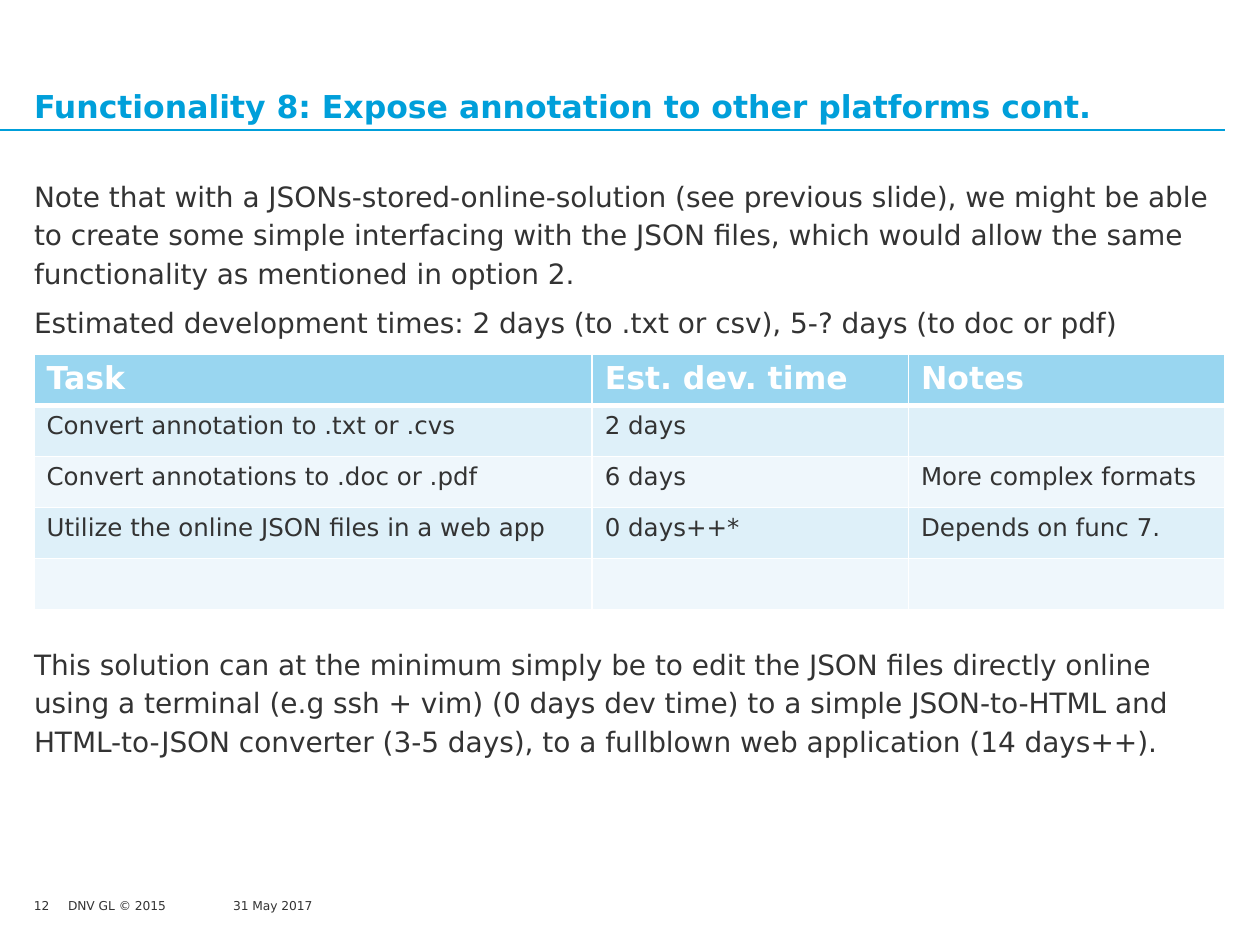
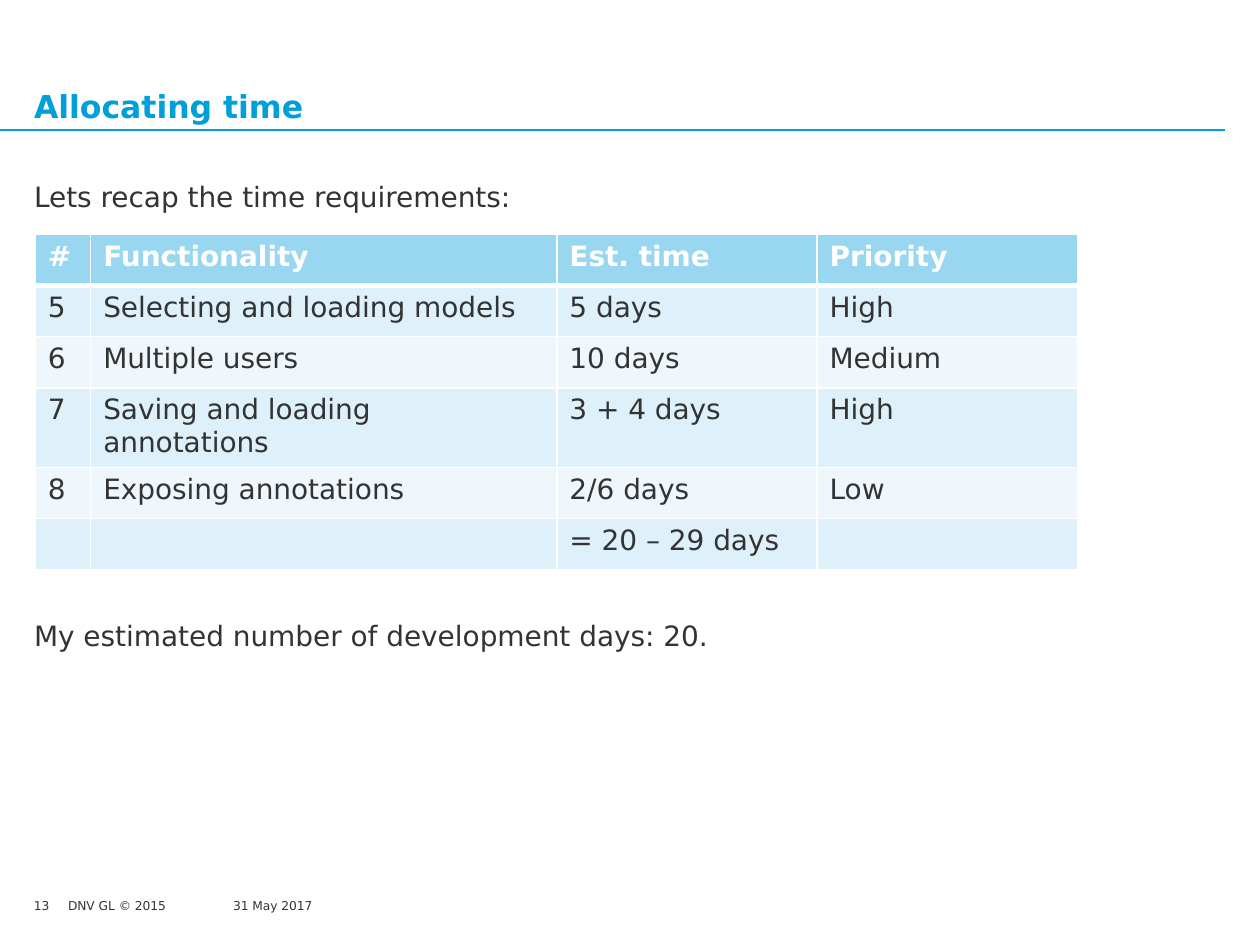
from dataclasses import dataclass
from typing import Any, NamedTuple

from lxml.etree import SubElement
from pptx import Presentation
from pptx.dml.color import RGBColor as Rgb
from pptx.enum.shapes import MSO_CONNECTOR as Connector
from pptx.enum.text import MSO_ANCHOR as Anchor, MSO_AUTO_SIZE as AutoSize
from pptx.oxml.ns import qn
from pptx.util import Inches, Pt

GRID_COLUMNS, GRID_ROWS = 100, 75
SLIDE_WIDTH, SLIDE_HEIGHT = Inches(10), Inches(7.5)


class TextStyle(NamedTuple):
    size: float
    color: str
    bold: bool = False


@dataclass(frozen=True)
class Theme:
    font: str = "DejaVu Sans"
    accent: str = "009FDA"
    ink: str = "333333"
    paper: str = "FFFFFF"
    header_fill: str = "99D6F0"
    bands: tuple[str, str] = ("DEF0F9", "EFF7FC")
    title_size: float = 18
    body_size: float = 16
    footer_size: float = 7
    line_spacing: float = 1.14
    paragraph_gap: float = 6
    rule_width: float = 1
    header_rule_width: float = 3


THEME = Theme()
TITLE = TextStyle(THEME.title_size, THEME.accent, True)
BODY = TextStyle(THEME.body_size, THEME.ink)
FOOTER = TextStyle(THEME.footer_size, THEME.ink)


class Area(NamedTuple):
    column: float
    row: float
    columns: float
    rows: float


LEFT, CONTENT_COLUMNS = 2.7, 94.5
FOOTER_ROW = 71.3
TITLE_AREA = Area(LEFT, 2.6, CONTENT_COLUMNS, 7.3)
BODY_AREA = Area(LEFT, 13.9, CONTENT_COLUMNS, 51.7)
NUMBER_AREA = Area(LEFT, FOOTER_ROW, 2.6, 2)
COPYRIGHT_AREA = Area(5.4, FOOTER_ROW, 8, 1.2)
DATE_AREA = Area(18.5, FOOTER_ROW, 30.7, 2)
TITLE_RULE_ROW = 10.3
TABLE_ROW_HEIGHT = 4.06


class Line(NamedTuple):
    text: str
    gap: float = THEME.paragraph_gap


@dataclass(frozen=True)
class Estimates:
    column: float
    row: float
    widths: tuple[float, ...]
    header_size: float
    cell_size: float
    rows: tuple[tuple[str, ...], ...]


@dataclass(frozen=True)
class Page:
    number: int
    title: str
    body: tuple[Line, ...]
    estimates: Estimates


PAGES = (
    Page(
        12,
        "Functionality 8: Expose annotation to other platforms cont.",
        (
            Line("Note that with a JSONs-stored-online-solution (see previous slide), "
                 "we might be able to create some simple interfacing with the JSON files, "
                 "which would allow the same functionality as mentioned in option 2."),
            Line("Estimated development times: 2 days (to .txt or csv), "
                 "5-? days (to doc or pdf)"),
            Line("This solution can at the minimum simply be to edit the JSON files "
                 "directly online using a terminal (e.g ssh + vim) (0 days dev time) "
                 "to a simple JSON-to-HTML and HTML-to-JSON converter (3-5 days), "
                 "to a fullblown web application (14 days++).", 174),
        ),
        Estimates(LEFT, 28.1, (44.3, 25.1, 25.1), 18, 14, (
            ("Task", "Est. dev. time", "Notes"),
            ("Convert annotation to .txt or .cvs", "2 days", ""),
            ("Convert annotations to .doc or .pdf", "6 days", "More complex formats"),
            ("Utilize the online JSON files in a web app", "0 days++*",
             "Depends on func 7."),
            ("", "", ""),
        )),
    ),
    Page(
        13,
        "Allocating time",
        (
            Line("Lets recap the time requirements:"),
            Line("My estimated number of development days: 20.", 229),
        ),
        Estimates(2.8, 18.6, (4.4, 37, 20.65, 20.65), 16, 16, (
            ("#", "Functionality", "Est. time", "Priority"),
            ("5", "Selecting and loading models", "5 days", "High"),
            ("6", "Multiple users", "10 days", "Medium"),
            ("7", "Saving and loading annotations", "3 + 4 days", "High"),
            ("8", "Exposing annotations", "2/6 days", "Low"),
            ("", "", "= 20 – 29 days", ""),
        )),
    ),
)


def across(columns: float) -> int:
    return round(SLIDE_WIDTH * columns / GRID_COLUMNS)


def down(rows: float) -> int:
    return round(SLIDE_HEIGHT * rows / GRID_ROWS)


def apply_formats(target: Any, formats: dict[str, Any]) -> None:
    for attribute, value in formats.items():
        setattr(target, attribute, value)


def write(paragraph: Any, text: str, style: TextStyle) -> None:
    run = paragraph.add_run()
    run.text = text
    apply_formats(run.font, {
        "name": THEME.font, "size": Pt(style.size), "bold": style.bold,
    })
    run.font.color.rgb = Rgb.from_string(style.color)


def add_text(slide: Any, area: Area, text: str, style: TextStyle, **formats: Any) -> None:
    add_lines(slide, area, (Line(text),), style, 1, **formats)


def add_lines(slide: Any, area: Area, lines: tuple[Line, ...], style: TextStyle,
              spacing: float, **formats: Any) -> None:
    box = slide.shapes.add_textbox(across(area.column), down(area.row),
                                   across(area.columns), down(area.rows))
    frame = box.text_frame
    margins = dict.fromkeys(
        ("margin_left", "margin_top", "margin_right", "margin_bottom"), 0)
    apply_formats(frame, {**margins, "word_wrap": True, **formats})
    for index, line in enumerate(lines):
        paragraph = frame.add_paragraph() if index else frame.paragraphs[0]
        paragraph.line_spacing = spacing
        if index:
            paragraph.space_before = Pt(line.gap)
        write(paragraph, line.text, style)


def add_title_rule(slide: Any) -> None:
    height = down(TITLE_RULE_ROW)
    rule = slide.shapes.add_connector(Connector.STRAIGHT, 0, height,
                                      across(LEFT + CONTENT_COLUMNS), height)
    rule.line.color.rgb = Rgb.from_string(THEME.accent)
    rule.line.width = Pt(THEME.rule_width)
    SubElement(rule._element.spPr, qn("a:effectLst"))


def add_borders(cell: Any, top: float, bottom: float) -> None:
    properties = cell._tc.get_or_add_tcPr()
    side = THEME.rule_width
    for edge, width in (("lnL", side), ("lnR", side), ("lnT", top), ("lnB", bottom)):
        border = SubElement(properties, qn(f"a:{edge}"), w=str(Pt(width)))
        fill = SubElement(border, qn("a:solidFill"))
        SubElement(fill, qn("a:srgbClr"), val=THEME.paper)


def add_estimates(slide: Any, estimates: Estimates) -> None:
    row_count = len(estimates.rows)
    table = slide.shapes.add_table(
        row_count, len(estimates.widths), across(estimates.column),
        down(estimates.row), across(sum(estimates.widths)),
        down(TABLE_ROW_HEIGHT * row_count)).table
    table.horz_banding = False
    for column, width in zip(table.columns, estimates.widths):
        column.width = across(width)
    header = TextStyle(estimates.header_size, THEME.paper, True)
    entry = TextStyle(estimates.cell_size, THEME.ink)
    thin, thick = THEME.rule_width, THEME.header_rule_width
    for row_index, texts in enumerate(estimates.rows):
        table.rows[row_index].height = down(TABLE_ROW_HEIGHT)
        is_header = row_index == 0
        fill = THEME.header_fill if is_header else THEME.bands[(row_index - 1) % 2]
        for column_index, text in enumerate(texts):
            cell = table.cell(row_index, column_index)
            add_borders(cell, thick if row_index == 1 else thin,
                        thick if is_header else thin)
            cell.fill.solid()
            cell.fill.fore_color.rgb = Rgb.from_string(fill)
            if text:
                write(cell.text_frame.paragraphs[0], text,
                      header if is_header else entry)


def add_page(deck: Any, page: Page) -> None:
    slide = deck.slides.add_slide(deck.slide_layouts[6])
    slide.background.fill.solid()
    slide.background.fill.fore_color.rgb = Rgb.from_string(THEME.paper)
    add_text(slide, COPYRIGHT_AREA, "DNV GL © 2015", FOOTER,
             word_wrap=False, auto_size=AutoSize.SHAPE_TO_FIT_TEXT)
    add_title_rule(slide)
    add_text(slide, DATE_AREA, "31 May 2017", FOOTER)
    add_text(slide, TITLE_AREA, page.title, TITLE, vertical_anchor=Anchor.BOTTOM)
    add_lines(slide, BODY_AREA, page.body, BODY, THEME.line_spacing)
    add_text(slide, NUMBER_AREA, str(page.number), FOOTER)
    add_estimates(slide, page.estimates)


def main() -> None:
    deck = Presentation()
    apply_formats(deck, {"slide_width": SLIDE_WIDTH, "slide_height": SLIDE_HEIGHT})
    for page in PAGES:
        add_page(deck, page)
    deck.save("out.pptx")


if __name__ == "__main__":
    main()
